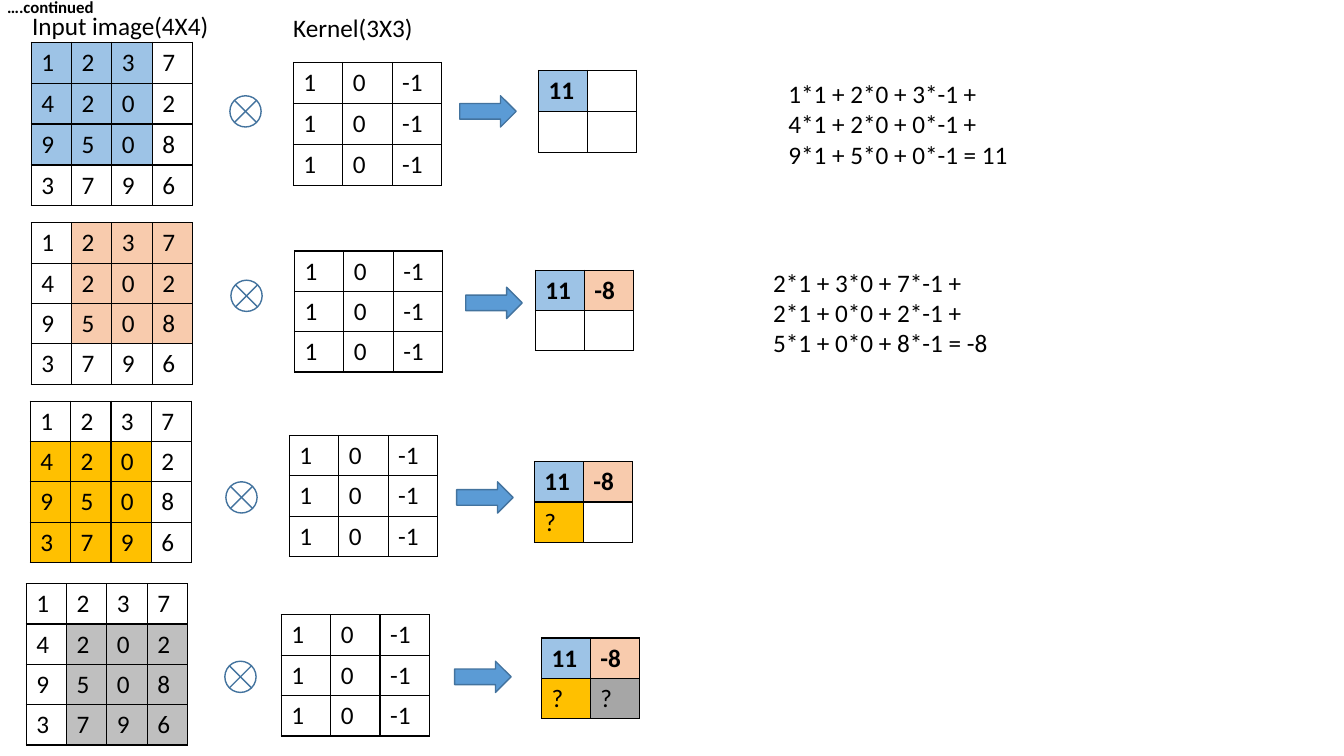
from lxml import etree
from pptx import Presentation
from pptx.dml.color import RGBColor
from pptx.enum.shapes import MSO_SHAPE
from pptx.enum.text import MSO_ANCHOR, MSO_AUTO_SIZE, PP_ALIGN
from pptx.oxml.ns import qn
from pptx.util import Inches, Pt

WHITE = RGBColor(0xFF, 0xFF, 0xFF)
BLACK = RGBColor(0, 0, 0)
BLUE = RGBColor(0x9D, 0xC3, 0xE6)
PEACH = RGBColor(0xF8, 0xCB, 0xAD)
GOLD = RGBColor(0xFF, 0xC0, 0x00)
SILVER = RGBColor(0xBF, 0xBF, 0xBF)
GRAY = RGBColor(0xA6, 0xA6, 0xA6)
ARROW_BLUE = RGBColor(0x5B, 0x9B, 0xD5)
OUTLINE_BLUE = RGBColor(0x43, 0x73, 0x9E)

ROW_HEIGHT = 0.4
IMAGE = ["1237", "4202", "9508", "3796"]
KERNEL = [["1", "0", "-1"]] * 3
RESULTS = [("11", BLUE), ("-8", PEACH), ("?", GOLD), ("?", GRAY)]

STEPS = [
    dict(box=(0.31, 0.42), patch=BLUE, kernel=(2.6, 0.2), junction=(1.97, 0.53),
         arrow=(4.25, 0.53), output=(5.03, 0.28), sums_at=(7.41, 0.31, 2.41),
         sums=["1*1 + 2*0 + 3*-1 +", "4*1 + 2*0 + 0*-1 +", "9*1 + 5*0 + 0*-1 = 11"]),
    dict(box=(0.31, 2.21), patch=PEACH, kernel=(2.61, 0.28), junction=(1.98, 0.57),
         arrow=(4.31, 0.64), output=(5, 0.47), sums_at=(7.26, 0.39, 2.36),
         sums=["2*1 + 3*0 + 7*-1 +", "2*1 + 0*0 + 2*-1 +", "5*1 + 0*0 + 8*-1 = -8"]),
    dict(box=(0.3, 3.98), patch=GOLD, kernel=(2.57, 0.34), junction=(1.94, 0.8),
         arrow=(4.23, 0.8), output=(5, 0.6)),
    dict(box=(0.26, 5.79), patch=SILVER, kernel=(2.53, 0.31), junction=(1.97, 0.77),
         arrow=(4.25, 0.77), output=(5.11, 0.54)),
]


def set_font(p, size=18, bold=False):
    p.font.name = "Calibri"
    p.font.size = Pt(size)
    p.font.bold = bold
    p.font.color.rgb = BLACK


def add_borders(cell):
    tcPr = cell._tc.get_or_add_tcPr()
    for side in ("a:lnL", "a:lnR", "a:lnT", "a:lnB"):
        ln = etree.SubElement(tcPr, qn(side), w=str(Pt(1)))
        fill = etree.SubElement(ln, qn("a:solidFill"))
        etree.SubElement(fill, qn("a:srgbClr"), val=str(BLACK))


def add_grid(slide, left, top, col_width, values, fill_at, bold_at=lambda r, c: False):
    n_rows, n_cols = len(values), len(values[0])
    table = slide.shapes.add_table(
        n_rows, n_cols, Inches(left), Inches(top),
        Inches(col_width * n_cols), Inches(ROW_HEIGHT * n_rows)).table
    table.first_row = table.horz_banding = False
    for r, row in enumerate(values):
        for c, value in enumerate(row):
            cell = table.cell(r, c)
            cell.text = value
            set_font(cell.text_frame.paragraphs[0], bold=bold_at(r, c))
            add_borders(cell)
            cell.fill.solid()
            cell.fill.fore_color.rgb = fill_at(r, c)


def add_text(slide, left, top, width, height, lines):
    box = slide.shapes.add_textbox(Inches(left), Inches(top), Inches(width), Inches(height))
    tf = box.text_frame
    tf.word_wrap = False
    tf.text = "\n".join(lines)
    for p in tf.paragraphs:
        set_font(p)


def add_symbol(slide, kind, left, top, width, fill):
    sp = slide.shapes.add_shape(kind, Inches(left), Inches(top), Inches(width), Inches(0.31))
    sp.shadow.inherit = False
    sp.fill.solid()
    sp.fill.fore_color.rgb = fill
    sp.line.color.rgb = OUTLINE_BLUE
    sp.line.width = Pt(1)


def add_step(slide, index, box, patch, kernel, junction, arrow, output,
             sums_at=None, sums=None):
    left, top = box
    patch_row, patch_col = divmod(index, 2)

    def place(offset):
        return left + offset[0], top + offset[1]

    def image_fill(r, c):
        inside = 0 <= r - patch_row < 3 and 0 <= c - patch_col < 3
        return patch if inside else WHITE

    shown = RESULTS[:index + 1] + [("", WHITE)] * (3 - index)
    outputs = [shown[:2], shown[2:]]

    add_grid(slide, left, top, 0.4, IMAGE, image_fill)
    add_grid(slide, *place(kernel), 0.49, KERNEL, lambda r, c: WHITE)
    add_symbol(slide, MSO_SHAPE.FLOWCHART_SUMMING_JUNCTION, *place(junction), 0.31, WHITE)
    add_symbol(slide, MSO_SHAPE.RIGHT_ARROW, *place(arrow), 0.56, ARROW_BLUE)
    add_grid(slide, *place(output), 0.485, [[value for value, _ in row] for row in outputs],
             lambda r, c: outputs[r][c][1], lambda r, c: r == 0)
    if sums:
        add_text(slide, *place(sums_at), sums_at[2], 1.01, sums)


def add_title(slide, left, top, width, height):
    title = slide.shapes.title
    title.left, title.top = Inches(left), Inches(top)
    title.width, title.height = Inches(width), Inches(height)
    tf = title.text_frame
    tf.text = "….continued"
    tf.word_wrap = False
    tf.auto_size = MSO_AUTO_SIZE.NONE
    tf.vertical_anchor = MSO_ANCHOR.TOP
    p = tf.paragraphs[0]
    p.alignment = PP_ALIGN.LEFT
    set_font(p, 12, True)


def main():
    prs = Presentation()
    prs.slide_width, prs.slide_height = Inches(13.33), Inches(7.5)
    slide = prs.slides.add_slide(prs.slide_layouts[5])
    add_title(slide, -0.03, -0.08, 1.07, 0.3)
    for index, step in enumerate(STEPS):
        add_step(slide, index, **step)
    add_text(slide, 0.22, 0.05, 2.05, 0.4, ["Input image(4X4)"])
    add_text(slide, 2.81, 0.07, 1.4, 0.4, ["Kernel(3X3)"])
    prs.save("out.pptx")


if __name__ == "__main__":
    main()
